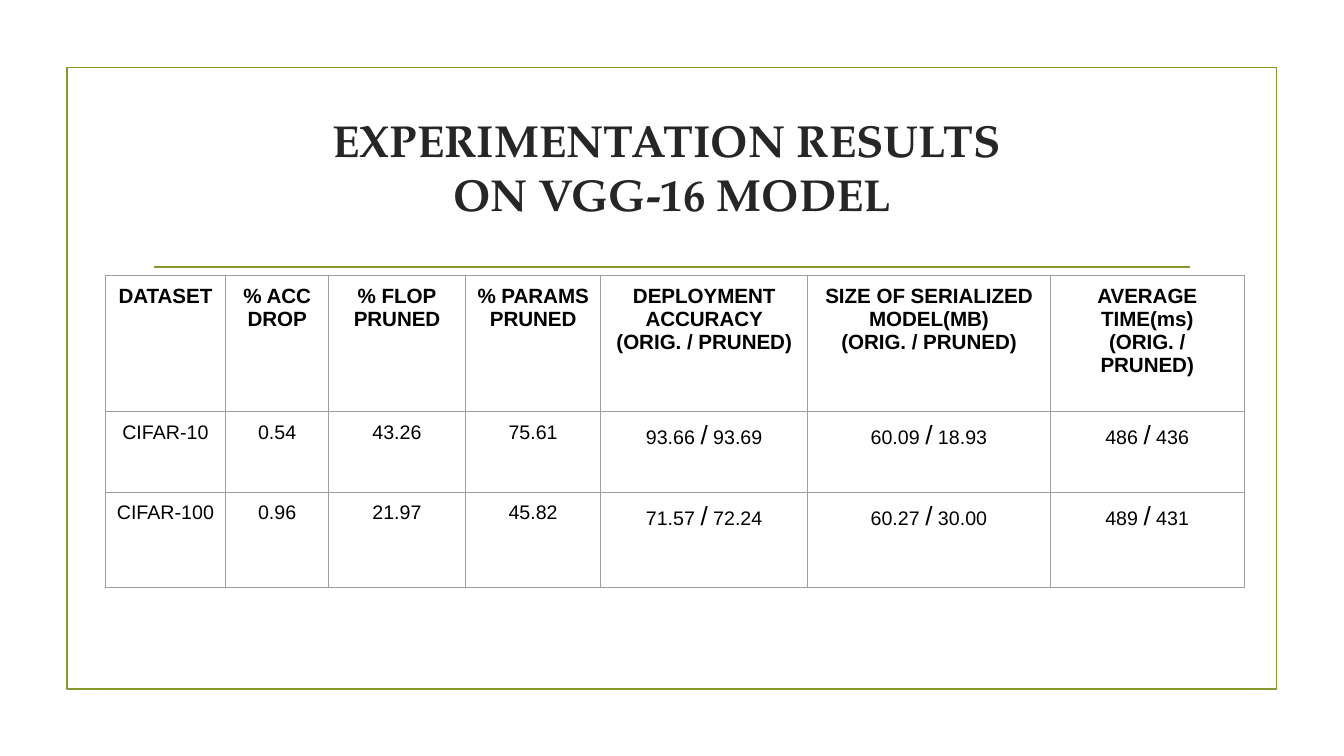
from dataclasses import dataclass

from lxml import etree
from pptx import Presentation
from pptx import util as u
from pptx.dml.color import RGBColor
from pptx.enum import shapes, text
from pptx.oxml import ns
from pptx.slide import Slide
from pptx.table import _Cell as Cell
from pptx.text.text import TextFrame


@dataclass(frozen=True)
class Theme:
    accent: str = "83992A"
    title_color: str = "262626"
    table_color: str = "000000"
    border_color: str = "9E9E9E"
    title_font: str = "TeX Gyre Pagella"
    table_font: str = "Arial"
    title_size: float = 32
    header_size: float = 14.67
    value_size: float = 14
    slash_size: float = 18.67
    accent_width: float = 1.25
    border_width: float = 0.75


@dataclass(frozen=True)
class Column:
    width: float
    header: str
    values: tuple[str, str]


THEME = Theme()
ROW_HEIGHTS = (3.43, 2.03, 2.41)
COLUMNS = (
    Column(3.04, "DATASET", ("CIFAR-10", "CIFAR-100")),
    Column(2.59, "% ACC DROP", ("0.54", "0.96")),
    Column(3.45, "% FLOP\nPRUNED", ("43.26", "21.97")),
    Column(3.41, "% PARAMS PRUNED", ("75.61", "45.82")),
    Column(5.21, "DEPLOYMENT ACCURACY\n(ORIG. / PRUNED)",
           ("93.66 / 93.69", "71.57 / 72.24")),
    Column(6.12, "SIZE OF SERIALIZED MODEL(MB)\n(ORIG. / PRUNED)",
           ("60.09 / 18.93", "60.27 / 30.00")),
    Column(4.88, "AVERAGE TIME(ms)\n(ORIG. / PRUNED)",
           ("486 / 436", "489 / 431")),
)


def write_text(frame: TextFrame, content: str, *, font: str, size: float,
               color: str, bold: bool = False,
               slash_size: float | None = None) -> None:
    """Write centred paragraphs, optionally with larger slashes."""
    for index, line in enumerate(content.split("\n")):
        paragraph = frame.add_paragraph() if index else frame.paragraphs[0]
        paragraph.alignment = text.PP_ALIGN.CENTER
        pieces = line.partition("/") if slash_size else (line,)
        for piece in filter(None, pieces):
            run = paragraph.add_run()
            run.text = piece
            run.font.name = font
            run.font.size = u.Pt(slash_size if piece == "/" else size)
            run.font.bold = bold
            run.font.color.rgb = RGBColor.from_string(color)


def add_frame(slide: Slide) -> None:
    """Draw the outer frame and the rule under the title."""
    frame = slide.shapes.add_shape(
        shapes.MSO_SHAPE.RECTANGLE,
        u.Cm(1.69), u.Cm(1.7), u.Cm(30.48), u.Cm(15.67))
    frame.shadow.inherit = False
    frame.fill.background()
    rule = slide.shapes.add_connector(
        shapes.MSO_CONNECTOR.STRAIGHT,
        u.Cm(3.89), u.Cm(6.73), u.Cm(30), u.Cm(6.73))
    etree.SubElement(rule._element.spPr, ns.qn("a:effectLst"))
    for shape in (frame, rule):
        shape.line.color.rgb = RGBColor.from_string(THEME.accent)
        shape.line.width = u.Pt(THEME.accent_width)


def add_title(slide: Slide) -> None:
    """Add the two-line title."""
    box = slide.shapes.add_textbox(u.Cm(3.61), u.Cm(2.67), u.Cm(26.67), u.Cm(3.07))
    box.text_frame.word_wrap = True
    box.text_frame.vertical_anchor = text.MSO_ANCHOR.MIDDLE
    write_text(box.text_frame, "EXPERIMENTATION RESULTS \nON VGG-16 MODEL",
               font=THEME.title_font, size=THEME.title_size,
               color=THEME.title_color, bold=True)


def format_cell(cell: Cell) -> None:
    """Give a cell its margins, borders and empty fill."""
    cell.margin_left = cell.margin_right = u.Cm(0.25)
    cell.margin_top = cell.margin_bottom = u.Cm(0.25)
    properties = cell._tc.get_or_add_tcPr()
    for side in ("lnL", "lnR", "lnT", "lnB"):
        border = etree.SubElement(properties, ns.qn(f"a:{side}"),
                                  w=str(u.Pt(THEME.border_width)))
        fill = etree.SubElement(border, ns.qn("a:solidFill"))
        etree.SubElement(fill, ns.qn("a:srgbClr"), val=THEME.border_color)
    cell.fill.background()


def add_results(slide: Slide) -> None:
    """Add the table of results."""
    table = slide.shapes.add_table(
        len(ROW_HEIGHTS), len(COLUMNS), u.Cm(2.65), u.Cm(6.94),
        u.Cm(sum(column.width for column in COLUMNS)),
        u.Cm(sum(ROW_HEIGHTS))).table
    table.first_row = table.horz_banding = False
    for row, height in zip(table.rows, ROW_HEIGHTS):
        row.height = u.Cm(height)
    for column_index, column in enumerate(COLUMNS):
        table.columns[column_index].width = u.Cm(column.width)
        for row_index, content in enumerate((column.header, *column.values)):
            is_header = row_index == 0
            cell = table.cell(row_index, column_index)
            format_cell(cell)
            write_text(cell.text_frame, content, font=THEME.table_font,
                       size=THEME.header_size if is_header else THEME.value_size,
                       color=THEME.table_color, bold=is_header,
                       slash_size=None if is_header else THEME.slash_size)


def main() -> None:
    """Build and save the presentation."""
    presentation = Presentation()
    presentation.slide_width = u.Cm(33.87)
    presentation.slide_height = u.Cm(19.05)
    slide = presentation.slides.add_slide(presentation.slide_layouts[6])
    add_frame(slide)
    add_title(slide)
    add_results(slide)
    presentation.save("out.pptx")


if __name__ == "__main__":
    main()
